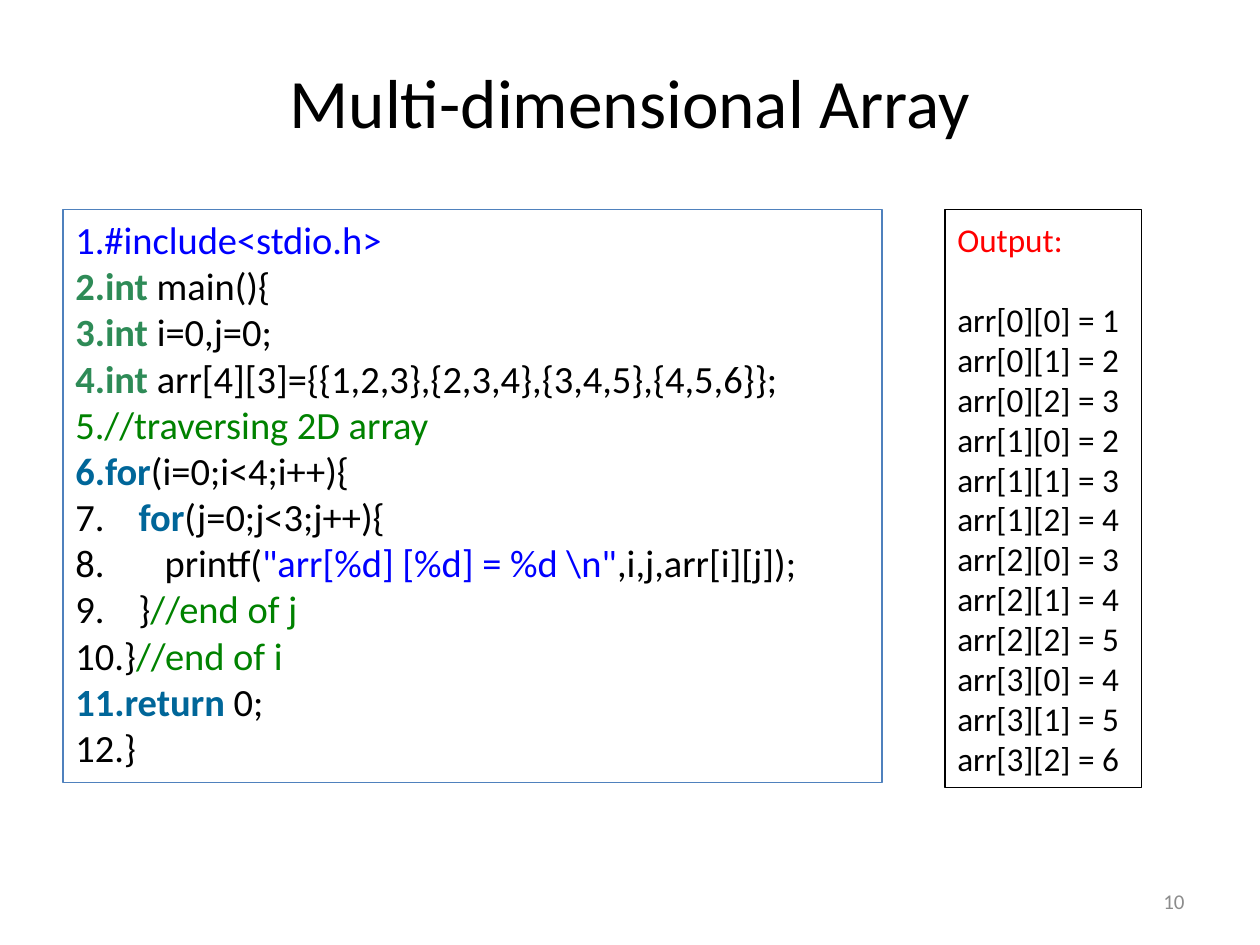
"""Build the slide about traversing a multi-dimensional array in C."""
from dataclasses import dataclass
from itertools import product

import lxml.etree
import pptx
import pptx.dml.color
import pptx.enum.shapes
import pptx.enum.text
import pptx.oxml.ns
import pptx.util

Cm = pptx.util.Cm
Pt = pptx.util.Pt
Align = pptx.enum.text.PP_ALIGN
Anchor = pptx.enum.text.MSO_ANCHOR


@dataclass(frozen=True)
class Theme:
    font: str = "Calibri"
    text: str = "000000"
    string: str = "0000FF"
    datatype: str = "2E8B57"
    comment: str = "008200"
    keyword: str = "006699"
    heading: str = "FF0000"
    muted: str = "8C8C8C"
    code_border: str = "4F81BD"
    title_size: float = 39.6
    code_size: float = 22
    output_size: float = 19
    number_size: float = 12


THEME = Theme()


@dataclass(frozen=True)
class Token:
    text: str
    color: str = THEME.text
    bold: bool = False


@dataclass(frozen=True)
class Line:
    tokens: tuple[Token, ...]
    indent: float = 0
    gap_after: float = 0


@dataclass(frozen=True)
class Panel:
    left: float
    top: float
    width: float
    height: float
    border: str
    size: float
    lines: tuple[Line, ...]
    numbered: bool
    wrap: bool
    anchor: Anchor


def line(*tokens: Token, indent: float = 0, gap_after: float = 0) -> Line:
    """Gather tokens into one line."""
    return Line(tokens, indent, gap_after)


def datatype(text: str) -> Token:
    """Return a type name token."""
    return Token(text, THEME.datatype, True)


def keyword(text: str) -> Token:
    """Return a keyword token."""
    return Token(text, THEME.keyword, True)


def comment(text: str) -> Token:
    """Return a comment token."""
    return Token(text, THEME.comment)


def rgb(color: str) -> pptx.dml.color.RGBColor:
    """Convert a hex string to a colour."""
    return pptx.dml.color.RGBColor.from_string(color)


def number_paragraph(paragraph, indent: float) -> None:
    """Number a paragraph, with its text hanging at the indent."""
    properties = paragraph._p.get_or_add_pPr()
    properties.set("marL", str(Cm(indent)))
    properties.set("indent", str(-Cm(indent)))
    lxml.etree.SubElement(
        properties, pptx.oxml.ns.qn("a:buAutoNum"), type="arabicPeriod")


def write_line(paragraph, content: Line, size: float, align: Align) -> None:
    """Write the coloured tokens of a line."""
    paragraph.alignment = align
    paragraph.font.name = THEME.font
    paragraph.font.size = Pt(size)
    if content.gap_after:
        paragraph.space_after = Pt(content.gap_after)
    for token in content.tokens:
        run = paragraph.add_run()
        run.text = token.text
        run.font.bold = token.bold
        run.font.color.rgb = rgb(token.color)


def place(shape, left: float, top: float, width: float, height: float) -> None:
    """Move and size a shape in centimetres."""
    shape.left, shape.top = Cm(left), Cm(top)
    shape.width, shape.height = Cm(width), Cm(height)


def draw_panel(slide, panel: Panel) -> None:
    """Draw a bordered panel of lines."""
    box = slide.shapes.add_shape(
        pptx.enum.shapes.MSO_SHAPE.RECTANGLE, Cm(panel.left), Cm(panel.top),
        Cm(panel.width), Cm(panel.height))
    box.shadow.inherit = False
    box.fill.background()
    box.line.color.rgb = rgb(panel.border)
    box.line.width = Pt(0.75)
    frame = box.text_frame
    frame.word_wrap = panel.wrap
    frame.vertical_anchor = panel.anchor
    frame.auto_size = pptx.enum.text.MSO_AUTO_SIZE.SHAPE_TO_FIT_TEXT
    for index, content in enumerate(panel.lines):
        paragraph = frame.add_paragraph() if index else frame.paragraphs[0]
        if panel.numbered:
            number_paragraph(paragraph, content.indent)
        write_line(paragraph, content, panel.size, Align.JUSTIFY)


CODE = (
    line(Token("#include<stdio.h>", THEME.string)),
    line(datatype("int"), Token("\u00a0main(){")),
    line(datatype("int\u00a0"), Token("i=0,j=0;")),
    line(datatype("int\u00a0"),
         Token("arr[4][3]={{1,2,3},{2,3,4},{3,4,5},{4,5,6}};")),
    line(comment("//traversing\u00a02D\u00a0array")),
    line(keyword("for"), Token("(i=0;i<4;i++){")),
    line(Token("\u00a0"), keyword("for"), Token("(j=0;j<3;j++){"), indent=1.1),
    line(Token("printf("),
         Token('"arr[%d]\u00a0[%d]\u00a0=\u00a0%d\u00a0\\n"', THEME.string),
         Token(",i,j,arr[i][j]);"), indent=1.8),
    line(Token("}"), comment("//end\u00a0of\u00a0j"), indent=1.27),
    line(Token("}"), comment("//end\u00a0of\u00a0i")),
    line(keyword("return"), Token("\u00a00;")),
    line(Token("}")),
)
OUTPUT = (
    line(Token("Output:", THEME.heading), gap_after=23),
    *(line(Token(f"arr[{i}][{j}] = {i + j + 1} "))
      for i, j in product(range(4), range(3))),
)
PANELS = (
    Panel(1.27, 4.23, 16.51, 11.54, THEME.code_border, THEME.code_size,
          CODE, True, True, Anchor.TOP),
    Panel(19.05, 4.23, 3.97, 11.64, THEME.text, THEME.output_size,
          OUTPUT, False, False, Anchor.MIDDLE),
)


def build() -> None:
    """Assemble and save the slide."""
    deck = pptx.Presentation()
    deck.slide_width, deck.slide_height = Cm(25.4), Cm(19.05)
    slide = deck.slides.add_slide(deck.slide_layouts[5])

    for panel in PANELS:
        draw_panel(slide, panel)

    page = slide.shapes.add_textbox(Cm(18.2), Cm(17.66), Cm(5.93), Cm(1.01))
    page.text_frame.word_wrap = True
    page.text_frame.vertical_anchor = Anchor.MIDDLE
    write_line(page.text_frame.paragraphs[0], line(Token("10", THEME.muted)),
               THEME.number_size, Align.RIGHT)

    title = slide.shapes.title
    place(title, 1.27, 1.57, 22.86, 0.91)
    title.text_frame.auto_size = pptx.enum.text.MSO_AUTO_SIZE.NONE
    title.text_frame.vertical_anchor = Anchor.MIDDLE
    write_line(title.text_frame.paragraphs[0],
               line(Token("Multi-dimensional Array")),
               THEME.title_size, Align.CENTER)

    deck.save("out.pptx")


build()
